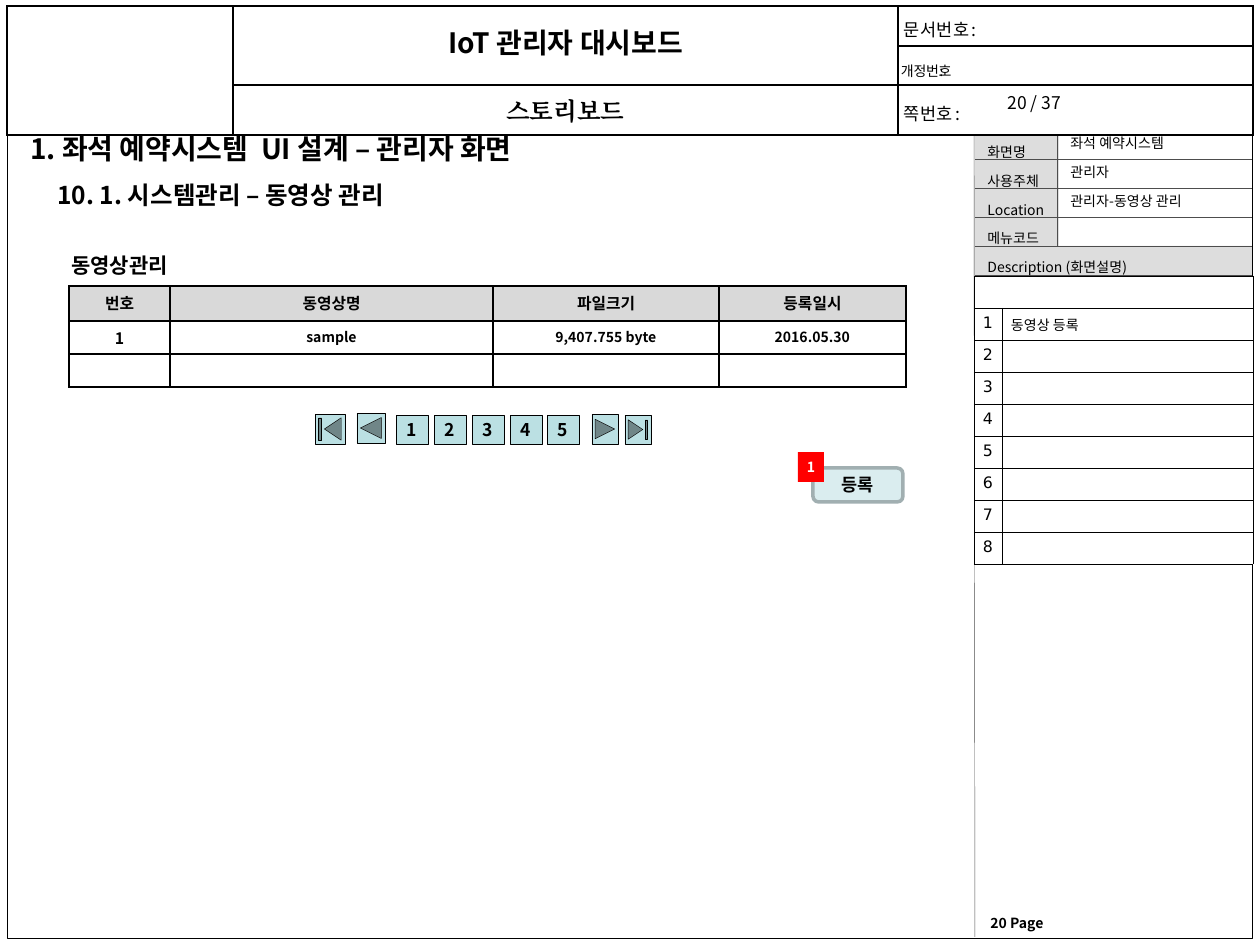
import lxml.etree
import pptx
import pptx.dml.color
import pptx.enum.shapes
import pptx.enum.text
import pptx.oxml
import pptx.oxml.ns
import pptx.util

PX = 914400 / 126
COLORS = {
    "black": "000000", "white": "FFFFFF", "rule": "4D4D4D", "panel": "DDDDDD",
    "heading": "D9D9D9", "control": "BBE0E3", "button": "DAEDEF",
    "button_edge": "A1AFB1", "badge": "FF0000",
}
RGB = {name: pptx.dml.color.RGBColor.from_string(value) for name, value in COLORS.items()}
SANS = "Noto Sans CJK KR"
PRESET = pptx.enum.shapes.MSO_SHAPE
LEFT = pptx.enum.text.PP_ALIGN.LEFT
CENTER = pptx.enum.text.PP_ALIGN.CENTER
MIDDLE = pptx.enum.text.MSO_ANCHOR.MIDDLE
qn = pptx.oxml.ns.qn


def add_run(paragraph, text, size, bold=False, color="black", font=SANS, align=LEFT):
    """Add a run whose Latin and East Asian fonts are the same."""
    paragraph.alignment = align
    run = paragraph.add_run()
    run.text = text
    run.font.size = pptx.util.Pt(size)
    run.font.bold = bold
    run.font.color.rgb = RGB[color]
    run.font.name = font
    lxml.etree.SubElement(run._r.get_or_add_rPr(), qn("a:ea"), typeface=font)
    return run


def add_grid(left, top, columns, rows, border, margins):
    """Add a white table with black borders; margins are (side, top and bottom)."""
    frame = slide.shapes.add_table(
        len(rows), len(columns), *[round(v * PX) for v in (left, top, sum(columns), sum(rows))])
    table = frame.table
    table.first_row = table.horz_banding = False
    for column, width in zip(table.columns, columns):
        column.width = round(width * PX)
    for row, height in zip(table.rows, rows):
        row.height = round(height * PX)
    for cell in table.iter_cells():
        cell.margin_left = cell.margin_right = round(margins[0] * PX)
        cell.margin_top = cell.margin_bottom = round(margins[1] * PX)
        properties = cell._tc.get_or_add_tcPr()
        for side in ("lnL", "lnR", "lnT", "lnB"):
            edge = lxml.etree.SubElement(properties, qn("a:" + side), w=str(int(border * 12700)))
            solid = lxml.etree.SubElement(edge, qn("a:solidFill"))
            lxml.etree.SubElement(solid, qn("a:srgbClr"), val=COLORS["black"])
        cell.fill.solid()
        cell.fill.fore_color.rgb = RGB["white"]
        cell.text_frame.paragraphs[0]._p.get_or_add_endParaRPr().set("sz", "800")
    return table


presentation = pptx.Presentation()
presentation.slide_width = round(1260 * PX)
presentation.slide_height = round(945 * PX)
slide = presentation.slides.add_slide(presentation.slide_layouts[6])
pager = slide.shapes.add_group_shape()

# Page frame, panels, pager, register button and its badge
# container, preset, box, fill, line, line width, text, text size, text colour
shapes = [
    (slide, PRESET.RECTANGLE, (7, 6, 1245, 932), None, "black", 0.25, "", 8, "black"),
    (slide, PRESET.RECTANGLE, (974, 246, 278, 30), "panel", None, 0, "", 8, "black"),
    (slide, PRESET.RECTANGLE, (974, 130, 85, 118), "panel", None, 0, "", 8, "black"),
    (slide, PRESET.ROUNDED_RECTANGLE, (813, 468, 90, 34), "button", "button_edge", 2,
     "등록", 10, "black"),
    (slide, PRESET.RECTANGLE, (798, 452, 26, 30), "badge", None, 0, "1", 8, "white"),
]
for preset, box in (
    (PRESET.ACTION_BUTTON_BACK_OR_PREVIOUS, (357, 413, 28, 30)),
    (PRESET.ACTION_BUTTON_FORWARD_OR_NEXT, (592, 414, 26, 30)),
    (PRESET.ACTION_BUTTON_BEGINNING, (315, 414, 30, 30)),
    (PRESET.ACTION_BUTTON_END, (625, 415, 26, 29)),
):
    shapes.append((pager, preset, box, "control", "black", 0.25, "", 10, "black"))
for number, left in enumerate((396, 434, 472, 510, 547), 1):
    shapes.append((pager, PRESET.RECTANGLE, (left, 415, 32, 29), "control", "black", 0.25,
                   str(number), 10, "black"))

for container, preset, box, fill, line, width, text, size, color in shapes:
    shape = container.shapes.add_shape(preset, *[round(v * PX) for v in box])
    shape.shadow.inherit = False
    if fill:
        shape.fill.solid()
        shape.fill.fore_color.rgb = RGB[fill]
    else:
        shape.fill.background()
    if line:
        shape.line.color.rgb = RGB[line]
        shape.line.width = pptx.util.Pt(width)
    else:
        shape.line.fill.background()
    if text:
        frame = shape.text_frame
        frame.margin_left = frame.margin_right = frame.margin_top = frame.margin_bottom = 0
        frame.vertical_anchor = MIDDLE
        frame.word_wrap = False
        add_run(frame.paragraphs[0], text, size, True, color, align=CENTER)

# Rules of the information panel
rules = [(974, 129, 975, 937), (1057, 130, 1057, 246)]
rules += [(975, 130 + 29 * index, 1252, 130 + 29 * index) for index in range(6)]
for ends in rules:
    rule = slide.shapes.add_connector(
        pptx.enum.shapes.MSO_CONNECTOR.STRAIGHT, *[round(v * PX) for v in ends])
    rule.line.color.rgb = RGB["rule"]
    rule.line.width = pptx.util.Pt(0.25)
    lxml.etree.SubElement(rule._element.spPr, qn("a:effectLst"))

labels = slide.shapes.add_textbox(*[round(v * PX) for v in (975, 125, 190, 158)])
labels.text_frame.word_wrap = True
for index, text in enumerate(("화면명", "사용주체", "Location", "메뉴코드", "Description (화면설명)")):
    frame = labels.text_frame
    paragraph = frame.add_paragraph() if index else frame.paragraphs[0]
    paragraph.line_spacing = pptx.util.Pt(16.5)
    add_run(paragraph, text, 8)

# Document header
header = add_grid(7, 6, (226, 665, 355), (40, 39, 50), 1, (3, 0))
header.cell(0, 0).merge(header.cell(2, 0))
header.cell(0, 1).merge(header.cell(1, 1))
for row, column, text, size, bold, font, align in (
    (0, 1, "IoT 관리자 대시보드", 16, True, SANS, CENTER),
    (2, 1, "스토리보드", 14, True, "Times New Roman", CENTER),
    (0, 2, "문 서 번 호 :", 10, False, SANS, LEFT),
    (1, 2, "개 정 번 호 :", 10, False, SANS, LEFT),
    (2, 2, "쪽 번 호 :", 10, False, SANS, LEFT),
):
    cell = header.cell(row, column)
    cell.vertical_anchor = MIDDLE
    paragraph = cell.text_frame.paragraphs[0]
    paragraph.line_spacing = pptx.util.Pt(18)
    run = add_run(paragraph, text, size, bold, font=font, align=align)
    if column == 2:
        run._r.rPr.set("spc", "-100")
        if row == 1:
            run._r.rPr.set("cap", "small")
        else:
            cell.margin_left = round(6 * PX)

# Video list
videos = add_grid(69, 286, (101, 323, 226, 187), (35, 33, 33), 1, (11, 5))
video_rows = (
    ("번호", "동영상명", "파일크기", "등록일시"),
    ("1", "sample", "9,407.755 byte", "2016.05.30"),
)
for row, texts in enumerate(video_rows):
    for column, text in enumerate(texts):
        cell = videos.cell(row, column)
        size = 8 if row and column else 9
        add_run(cell.text_frame.paragraphs[0], text, size, True, align=CENTER)
        if row == 0:
            cell.fill.fore_color.rgb = RGB["heading"]

# Numbered descriptions
descriptions = add_grid(974, 276, (28, 251), [32] * 9, 0.25, (5, 6))
descriptions.cell(0, 0).merge(descriptions.cell(0, 1))
for number in range(1, 9):
    paragraph = descriptions.cell(number, 0).text_frame.paragraphs[0]
    add_run(paragraph, str(number), 9, font="DejaVu Sans", align=CENTER)
registration = descriptions.cell(1, 1)
registration.margin_left = round(9 * PX)
add_run(registration.text_frame.paragraphs[0], "동영상 등록", 8)

# Headings and values
for box, text, size, bold in (
    ((18, 125, 557, 47), "1. 좌석 예약시스템  UI 설계 – 관리자 화면", 16, True),
    ((45, 174, 382, 43), "10. 1. 시스템관리 – 동영상 관리", 14, True),
    ((59, 246, 130, 38), "동영상관리", 12, True),
    ((978, 908, 82, 29), "20 Page", 8, True),
    ((995, 86, 92, 34), "20 / 37", 10, False),
    ((1058, 128, 129, 30), "좌석 예약시스템", 8, False),
    ((1058, 157, 68, 30), "관리자", 8, False),
    ((1058, 186, 151, 30), "관리자-동영상 관리", 8, False),
):
    textbox = slide.shapes.add_textbox(*[round(v * PX) for v in box])
    textbox.text_frame.word_wrap = False
    textbox.text_frame.auto_size = pptx.enum.text.MSO_AUTO_SIZE.SHAPE_TO_FIT_TEXT
    add_run(textbox.text_frame.paragraphs[0], text, size, bold)

presentation.save("out.pptx")
